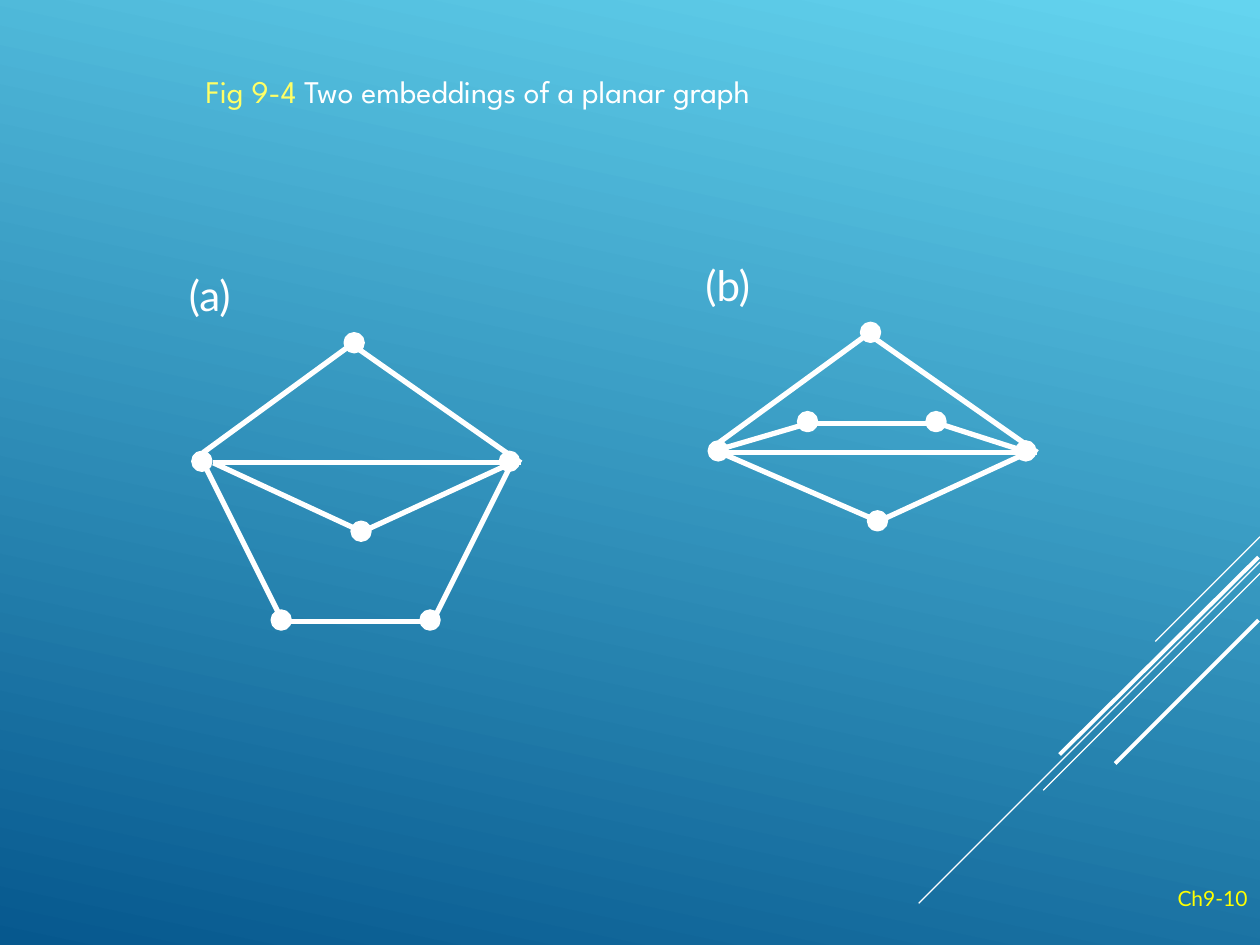
from lxml import etree
from pptx import Presentation
from pptx.dml.color import RGBColor
from pptx.enum.shapes import MSO_CONNECTOR, MSO_SHAPE
from pptx.enum.text import MSO_ANCHOR, MSO_AUTO_SIZE, PP_ALIGN
from pptx.oxml.ns import qn
from pptx.util import Cm, Pt

LINE, DOT = MSO_CONNECTOR.STRAIGHT, MSO_SHAPE.OVAL
TOP, NO_FIT = MSO_ANCHOR.TOP, MSO_AUTO_SIZE.NONE
LEFT, RIGHT = PP_ALIGN.LEFT, PP_ALIGN.RIGHT

WHITE = RGBColor(0xFF, 0xFF, 0xFF)
LEMON = RGBColor(0xFF, 0xFF, 0x66)
YELLOW = RGBColor(0xFF, 0xFF, 0x00)
SKY = RGBColor(0x64, 0xD4, 0xEF)
NAVY = RGBColor(0x06, 0x58, 0x8E)

SIZE = 0.36  # node diameter, cm

# Slanted lines in the corner: start, end (cm) and width (pt)
RAYS = [
    ((25.4, 10.82), (23.29, 12.93), 0.75),
    ((25.4, 11.33), (18.52, 18.21), 0.75),
    ((25.4, 11.56), (21.03, 15.93), 0.75),
    ((25.37, 11.23), (21.36, 15.21), 2.25),
    ((25.37, 12.5), (22.48, 15.39), 2.25),
]

# Both graphs, in cm from the left node: what they share
NODES = [(0, 0), (6.2, 0), (3.07, -2.39), (3.21, 1.41)]
PEAK, DIP = (3.02, -2.36), (3.23, 1.42)
EAST, TIP = (6.25, 0.03), (6.43, 0.03)
EDGES = [(PEAK, TIP), (PEAK, (0.03, -0.18)), (EAST, DIP)]


def paint(slide):
    fill = slide.background.fill
    fill.gradient()
    fill.gradient_angle = 258
    for stop, color, place in zip(fill.gradient_stops, (SKY, NAVY), (0, 1)):
        stop.color.rgb = color
        stop.position = place


def add_line(slide, start, end, width):
    line = slide.shapes.add_connector(
        LINE, *(Cm(v) for v in (*start, *end)))
    line.line.color.rgb = WHITE
    line.line.width = Pt(width)
    etree.SubElement(line._element.spPr, qn("a:effectLst"))


def add_dot(slide, x, y):
    dot = slide.shapes.add_shape(
        DOT, Cm(x - SIZE / 2), Cm(y - SIZE / 2), Cm(SIZE), Cm(SIZE))
    dot.shadow.inherit = False
    dot.fill.solid()
    dot.fill.fore_color.rgb = WHITE
    dot.line.color.rgb = WHITE
    dot.line.width = Pt(2)


def add_text(slide, text, box, size, color, align=LEFT):
    frame = slide.shapes.add_textbox(*(Cm(v) for v in box)).text_frame
    frame.word_wrap = True
    para = frame.paragraphs[0]
    para.text = text
    para.alignment = align
    para.font.name = "Lato"
    para.font.size = Pt(size)
    para.font.color.rgb = color


def add_title(slide):
    title = slide.shapes.title
    title.left, title.top = Cm(3.89), Cm(1.32)
    title.width, title.height = Cm(13.1), Cm(1.02)
    frame = title.text_frame
    frame.word_wrap = True
    frame.auto_size = NO_FIT
    frame.vertical_anchor = TOP
    para = frame.paragraphs[0]
    para.alignment = LEFT
    para.font.name = "League Spartan"
    para.font.size = Pt(18)
    for text, color in (("Fig 9-4 ", LEMON),
                        ("Two embeddings of a planar graph", WHITE)):
        run = para.add_run()
        run.text = text
        run.font.color.rgb = color


def add_graph(slide, label, x, y, west, pair, edges):
    """Draw the shared part, then the path that each embedding moves."""
    shared = EDGES + [(west, TIP), (west, DIP)]
    for (x1, y1), (x2, y2) in shared + edges:
        add_line(slide, (x + x1, y + y1), (x + x2, y + y2), 3)
    for dx, dy in NODES + pair:
        add_dot(slide, x + dx, y + dy)
    add_text(slide, label, (x - 0.51, y - 3.99, 1.52, 1.27), 24, WHITE)


def main():
    deck = Presentation()
    deck.slide_width, deck.slide_height = Cm(25.4), Cm(19.05)
    slide = deck.slides.add_slide(deck.slide_layouts[5])
    paint(slide)
    for start, end, width in RAYS:
        add_line(slide, start, end, width)
    add_title(slide)

    # (a) path below the base line
    low, far = (1.63, 3.23), (4.65, 3.23)
    add_graph(slide, "(a)", 4.07, 9.3, (0.23, 0.03),
              [(1.6, 3.2), (4.6, 3.2)],
              [(low, (0.03, 0.03)), (low, far), (far, EAST)])

    # (b) path folded above the base line
    low, far = (1.83, -0.56), (4.42, -0.56)
    add_graph(slide, "(b)", 14.48, 9.09, (0.03, 0.03),
              [(1.8, -0.59), (4.39, -0.59)],
              [(low, (-0.18, 0.03)), (low, far), (far, EAST)])

    # Page number
    add_text(slide, "Ch9-10", (20.12, 17.73, 5.28, 0.71), 12, YELLOW, RIGHT)
    deck.save("out.pptx")


if __name__ == "__main__":
    main()
